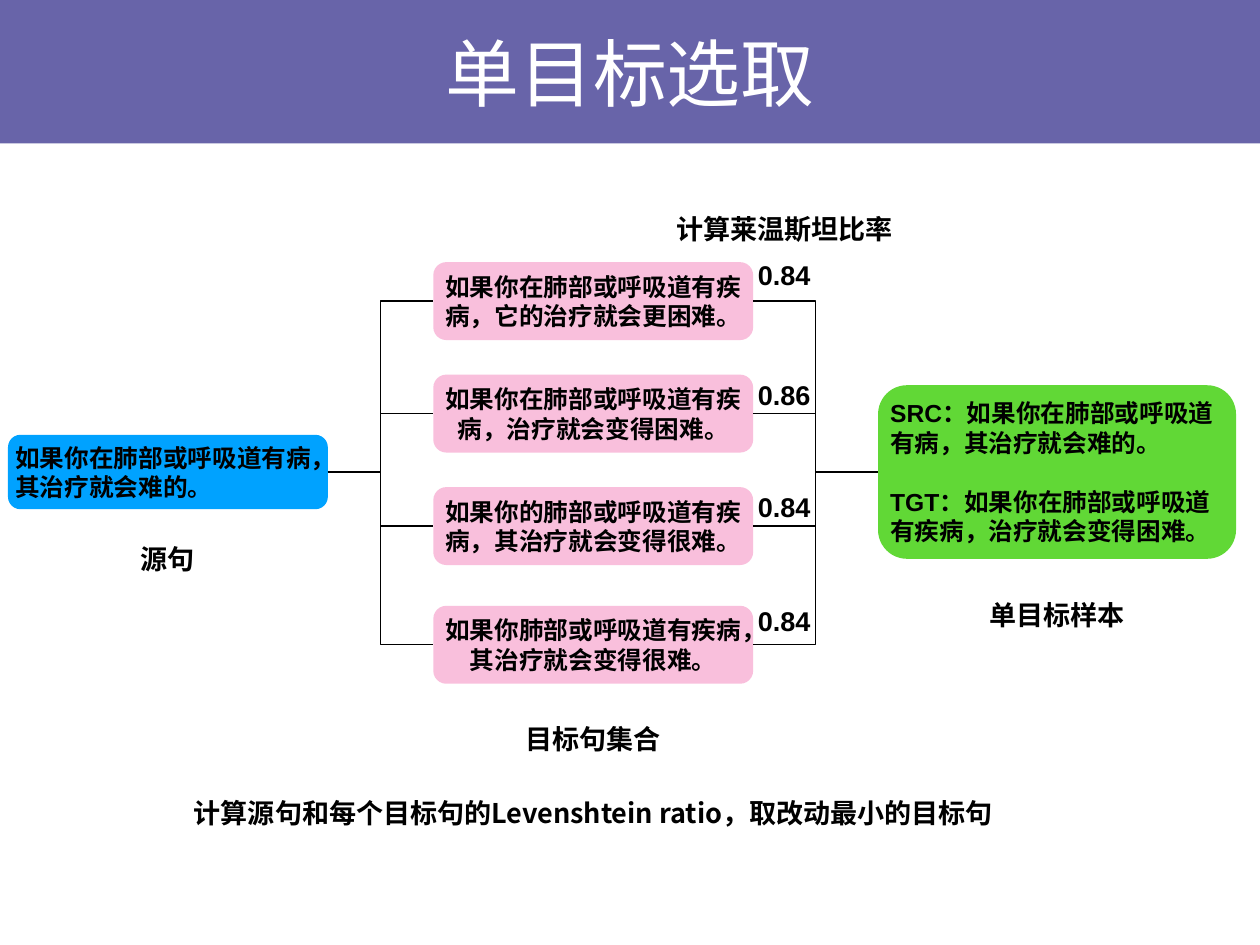
from collections import namedtuple
from dataclasses import dataclass

from lxml.etree import SubElement
from pptx import Presentation
from pptx.dml.color import RGBColor
from pptx.enum.shapes import MSO_CONNECTOR, MSO_SHAPE
from pptx.enum.text import MSO_ANCHOR, PP_ALIGN
from pptx.oxml.ns import qn
from pptx.util import Pt

SCALE = 9144
Box = namedtuple("Box", "x y w h")
LEFT, RIGHT = 1, 3


@dataclass(frozen=True)
class Theme:
    banner: str = "6864A9"
    source: str = "00A2FF"
    target: str = "F9BFDC"
    sample: str = "61D836"
    ink: str = "000000"
    paper: str = "FFFFFF"
    title_size: int = 60
    body_size: int = 20
    label_size: int = 22
    body_leading: int = 24
    label_leading: int = 27
    title_font: str = "Open Sans"
    body_font: str = "Arial"
    caption_font: str = "Noto Sans CJK SC"


T = Theme()


def px(n):
    return round(n * SCALE)


def emu(box):
    return [px(n) for n in box]


def write(sp, *lines, size=T.body_size, font=T.body_font, color=T.ink, bold=True,
          align=PP_ALIGN.CENTER, leading=None, gap=0, wrap=True):
    tf = sp.text_frame
    tf.word_wrap = wrap
    tf.vertical_anchor = MSO_ANCHOR.MIDDLE
    tf.margin_left = tf.margin_right = tf.margin_top = tf.margin_bottom = px(4)
    for i, line in enumerate(lines):
        p = tf.add_paragraph() if i else tf.paragraphs[0]
        p.alignment = align
        if leading:
            p.line_spacing = Pt(leading)
        if i:
            p.space_before = Pt(gap)
        r = p.add_run()
        r.text = line
        r.font.size = Pt(size)
        r.font.name = font
        r.font.bold = bold
        r.font.color.rgb = RGBColor.from_string(color)
        rPr = r._r.get_or_add_rPr()
        rPr.set("lang", "zh-CN")
        SubElement(rPr, qn("a:ea")).set("typeface", font)


def add_panel(s, box, fill, kind=MSO_SHAPE.ROUNDED_RECTANGLE):
    sp = s.shapes.add_shape(kind, *emu(box))
    sp.shadow.inherit = False
    sp.fill.solid()
    sp.fill.fore_color.rgb = RGBColor.from_string(fill)
    sp.line.fill.background()
    return sp


def add_label(s, box, text, **fmt):
    sp = s.shapes.add_textbox(*emu(box))
    write(sp, text, **{"size": T.label_size, "wrap": False, **fmt})


def add_label_below(s, box, text, gap):
    add_label(s, Box(box.x, box.y + box.h + gap, box.w, 45), text)


def add_link(s, start, end):
    c = s.shapes.add_connector(MSO_CONNECTOR.ELBOW, 0, 0, 0, 0)
    c.begin_connect(start, RIGHT)
    c.end_connect(end, LEFT)
    c.line.color.rgb = RGBColor.from_string(T.ink)
    c.line.width = Pt(1)
    SubElement(c._element.spPr, qn("a:effectLst"))


def add_title(s, box):
    sp = add_panel(s, box, T.banner, MSO_SHAPE.RECTANGLE)
    write(sp, "单目标选取", size=T.title_size, font=T.title_font, color=T.paper, bold=False)


def add_source(s, box):
    sp = add_panel(s, box, T.source)
    write(sp, "如果你在肺部或呼吸道有病，其治疗就会难的。",
          align=PP_ALIGN.LEFT, leading=T.body_leading)
    add_label_below(s, box, "源句", 33)
    return sp


def add_targets(s, box):
    rows = [
        (0, -8, "0.84", "如果你在肺部或呼吸道有疾病，它的治疗就会更困难。"),
        (127, 127, "0.86", "如果你在肺部或呼吸道有疾病，治疗就会变得困难。"),
        (254, 254, "0.84", "如果你的肺部或呼吸道有疾病，其治疗就会变得很难。"),
        (388, 382, "0.84", "如果你肺部或呼吸道有疾病，其治疗就会变得很难。"),
    ]
    targets = []
    for top, score_top, score, sentence in rows:
        sp = add_panel(s, Box(box.x, box.y + top, box.w, 88), T.target)
        write(sp, sentence, leading=T.body_leading)
        add_label(s, Box(box.x + box.w, box.y + score_top, 70, 45), score)
        targets.append(sp)
    add_label(s, Box(box.x + 269, box.y - 60, 254, 45), "计算莱温斯坦比率")
    add_label_below(s, box, "目标句集合", 39)
    return targets


def add_sample(s, box):
    sp = add_panel(s, box, T.sample)
    write(sp, "SRC：如果你在肺部或呼吸道有病，其治疗就会难的。",
          "TGT：如果你在肺部或呼吸道有疾病，治疗就会变得困难。",
          align=PP_ALIGN.LEFT, leading=T.body_leading, gap=T.body_leading)
    add_label_below(s, box, "单目标样本", 40)
    return sp


def add_caption(s, box):
    add_label(s, box, "计算源句和每个目标句的Levenshtein ratio，取改动最小的目标句",
              font=T.caption_font, leading=T.label_leading, wrap=True)


def main():
    prs = Presentation()
    prs.slide_width, prs.slide_height = px(1422), px(1067)
    s = prs.slides.add_slide(prs.slide_layouts[6])
    add_title(s, Box(0, 0, 1422, 162))
    source = add_source(s, Box(9, 491, 361, 84))
    targets = add_targets(s, Box(489, 296, 361, 476))
    sample = add_sample(s, Box(991, 435, 404, 196))
    for target in targets:
        add_link(s, source, target)
        add_link(s, target, sample)
    add_caption(s, Box(212, 895, 915, 45))
    prs.save("out.pptx")


if __name__ == "__main__":
    main()
